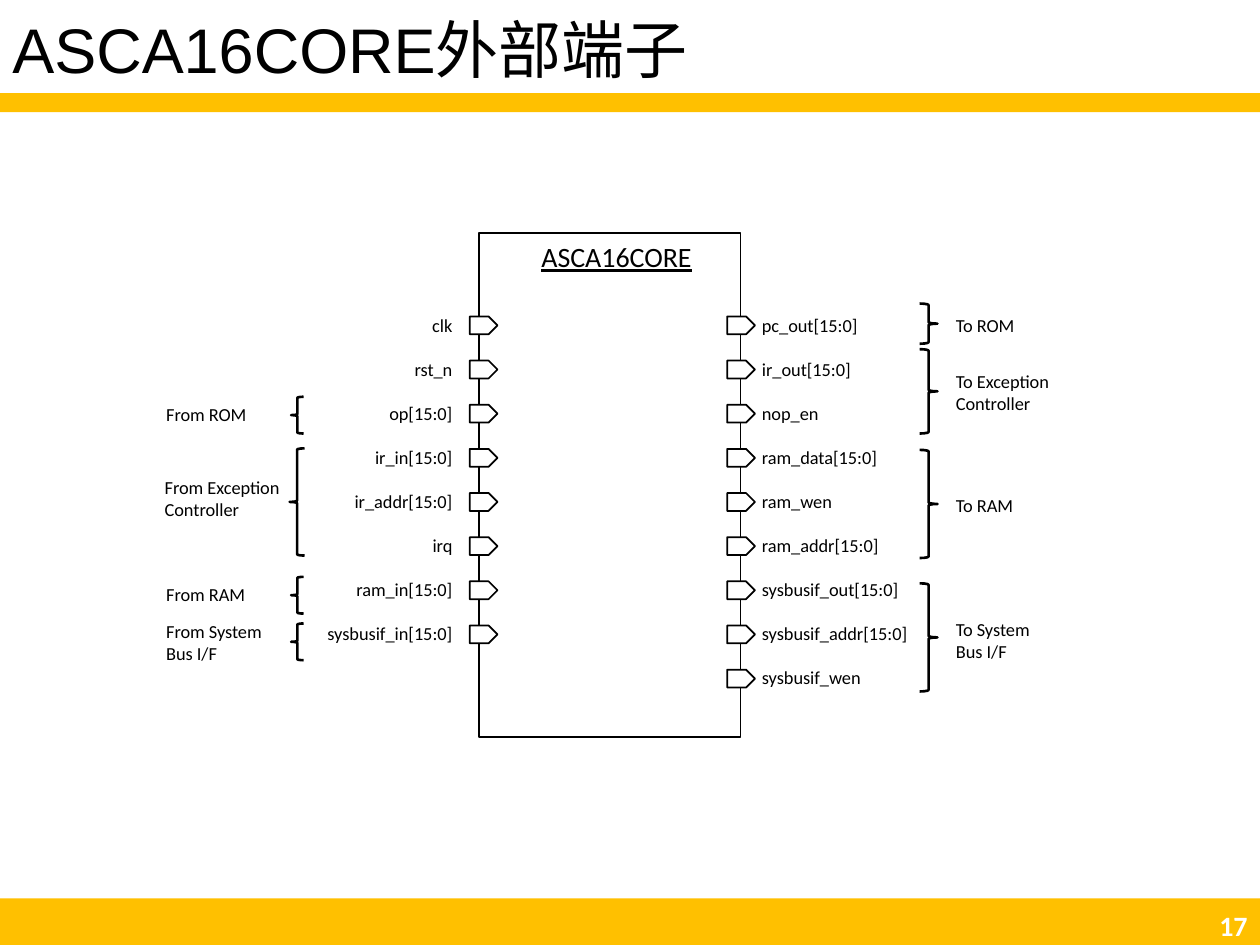
"""Build the slide showing the external ports of ASCA16CORE."""
import pptx
import pptx.dml.color
import pptx.enum.shapes
import pptx.enum.text
import pptx.util

Cm, Pt = pptx.util.Cm, pptx.util.Pt
RGB = pptx.dml.color.RGBColor.from_string
SHAPE = pptx.enum.shapes.MSO_SHAPE
ALIGN = pptx.enum.text.PP_ALIGN
ANCHOR = pptx.enum.text.MSO_ANCHOR

THEME = {
    "black": RGB("000000"), "white": RGB("FFFFFF"), "gold": RGB("FFC000"),
    "heading_font": "Arial", "body_font": "Calibri",
    "title": Pt(36), "core": Pt(16), "number": Pt(16), "label": Pt(10.5),
    "outline": Pt(1), "brace": Pt(1.5), "port_gap": Pt(12.57),
}

deck = pptx.Presentation()
deck.slide_width, deck.slide_height = Cm(25.4), Cm(19.05)
slide = deck.slides.add_slide(deck.slide_layouts[6])


def add_shape(kind, box, fill=None, line=None):
    shape = slide.shapes.add_shape(kind, *map(Cm, box))
    shape.shadow.inherit = False
    if fill is None:
        shape.fill.background()
    else:
        shape.fill.solid()
        shape.fill.fore_color.rgb = fill
    if line is None:
        shape.line.fill.background()
    else:
        shape.line.color.rgb = THEME["black"]
        shape.line.width = line
    return shape


def write(shape, text, size, align=ALIGN.LEFT, anchor=ANCHOR.TOP,
          color=THEME["black"], font=THEME["body_font"]):
    frame = shape.text_frame
    frame.word_wrap = True
    frame.vertical_anchor = anchor
    frame.text = text
    for paragraph in frame.paragraphs:
        paragraph.alignment = align
        for run in paragraph.runs:
            run.font.size, run.font.name = size, font
            run.font.color.rgb = color
    return frame


for band in [(0, 18.11, 25.4, 0.94), (0, 1.88, 25.4, 0.38)]:
    add_shape(SHAPE.RECTANGLE, band, THEME["gold"])

title = slide.shapes.add_textbox(Cm(0), Cm(0.1), Cm(21.89), Cm(1.93))
title_frame = write(title, "ASCA16CORE外部端子", THEME["title"],
                    anchor=ANCHOR.MIDDLE, font=THEME["heading_font"])
title_frame.paragraphs[0].line_spacing = 0.9

page_number = slide.shapes.add_textbox(Cm(19.69), Cm(18.24), Cm(5.71), Cm(0.81))
number_frame = write(page_number, "17", THEME["number"], ALIGN.RIGHT,
                     ANCHOR.MIDDLE, THEME["white"])
number_frame.paragraphs[0].runs[0].font.bold = True

core = add_shape(SHAPE.RECTANGLE, (9.65, 4.7, 5.28, 10.16), line=THEME["outline"])
core_frame = write(core, "ASCA16CORE", THEME["core"], ALIGN.CENTER)
core_frame.margin_left = Cm(0.53)
core_frame.paragraphs[0].runs[0].font.underline = True

inputs = ["clk", "rst_n", "op[15:0]", "ir_in[15:0]", "ir_addr[15:0]", "irq",
          "ram_in[15:0]", "sysbusif_in[15:0]"]
outputs = ["pc_out[15:0]", "ir_out[15:0]", "nop_en", "ram_data[15:0]", "ram_wen",
           "ram_addr[15:0]", "sysbusif_out[15:0]", "sysbusif_addr[15:0]",
           "sysbusif_wen"]
port_top, port_pitch = 6.38, 0.89
for ports, port_left, names_left, names_width, align in [
    (inputs, 9.47, 6.07, 3.3, ALIGN.RIGHT),
    (outputs, 14.66, 15.11, 4.47, ALIGN.LEFT),
]:
    for row in range(len(ports)):
        add_shape(SHAPE.PENTAGON,
                  (port_left, port_top + row * port_pitch, 0.56, 0.36),
                  THEME["white"], THEME["outline"])
    names = slide.shapes.add_textbox(Cm(names_left), Cm(6.2), Cm(names_width),
                                     Cm(len(ports) * port_pitch))
    for paragraph in write(names, "\n".join(ports), THEME["label"], align).paragraphs:
        paragraph.space_after = THEME["port_gap"]

sources = [
    ("From ROM", (5.87, 8.0, 0.25, 0.74), (3.1, 8.0, 2.77, 0.71)),
    ("From Exception\nController", (5.84, 9.04, 0.3, 2.16), (3.07, 9.47, 2.9, 1.14)),
    ("From RAM", (5.87, 11.63, 0.25, 0.74), (3.1, 11.63, 2.77, 0.71)),
    ("From System Bus I/F", (5.87, 12.57, 0.25, 0.74), (3.1, 12.37, 2.77, 1.14)),
]
targets = [
    ("To ROM", (18.54, 6.12, 0.36, 0.81), (19.02, 6.2, 1.93, 0.71)),
    ("To Exception\nController", (18.54, 7.04, 0.36, 1.7), (19.02, 7.34, 2.54, 1.14)),
    ("To RAM", (18.54, 9.07, 0.36, 2.18), (19.02, 9.83, 1.93, 0.71)),
    ("To System\nBus I/F", (18.54, 11.76, 0.36, 2.18), (19.02, 12.34, 2.21, 1.14)),
]
for brace_kind, groups in [(SHAPE.LEFT_BRACE, sources), (SHAPE.RIGHT_BRACE, targets)]:
    for group, brace_box, label_box in groups:
        add_shape(brace_kind, brace_box, line=THEME["brace"])
        label = slide.shapes.add_textbox(*map(Cm, label_box))
        write(label, group, THEME["label"])

deck.save("out.pptx")
